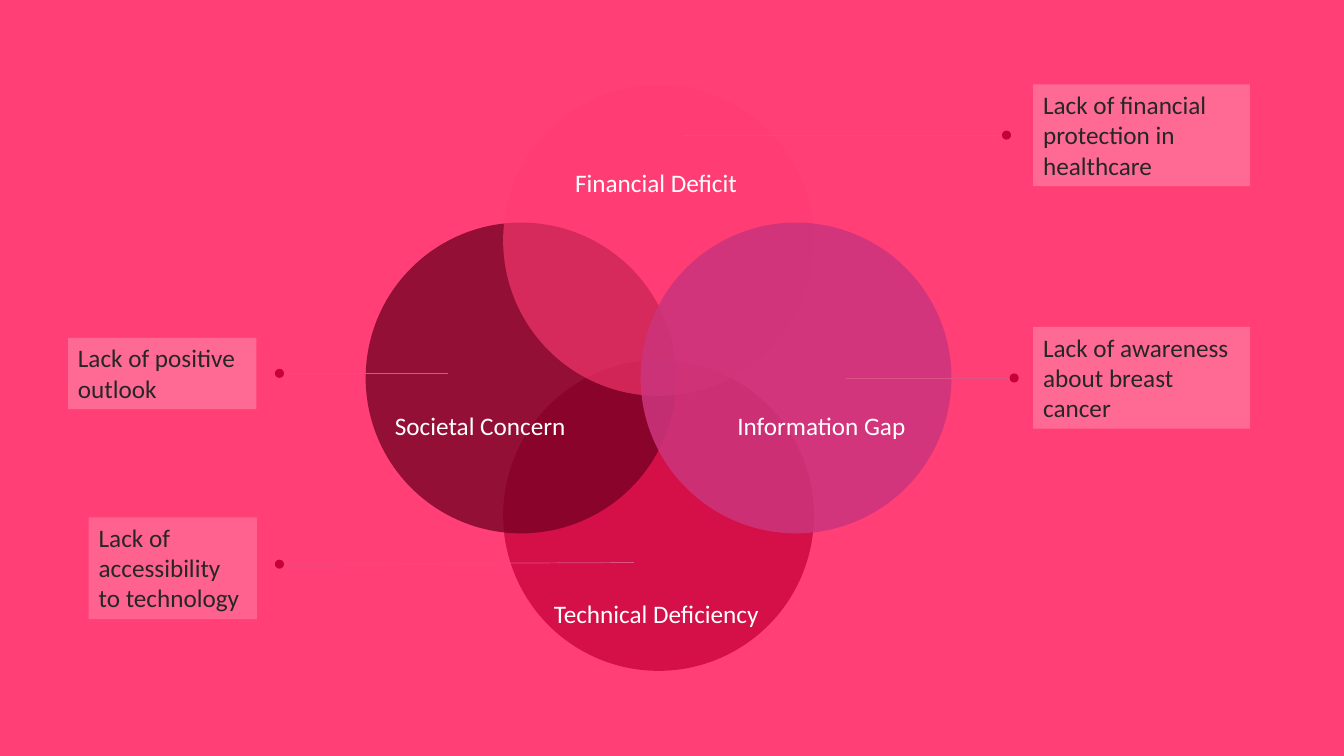
from lxml import etree
from pptx import Presentation
from pptx import util as u
from pptx.dml.color import RGBColor
from pptx.enum import shapes, text
from pptx.oxml import ns

PINK = RGBColor(0xFF, 0x3F, 0x76)
ROSE = RGBColor(0xFF, 0x3B, 0x73)
RED = RGBColor(0xC8, 0x00, 0x39)
WINE = RGBColor(0x70, 0x00, 0x20)
PLUM = RGBColor(0xCC, 0x34, 0x7C)
PALE = RGBColor(0xFF, 0x6A, 0x95)
BLUSH = RGBColor(0xFF, 0x62, 0x8F)
THREAD = RGBColor(0xDF, 0x52, 0x86)
WHITE = RGBColor(0xFF, 0xFF, 0xFF)
INK = RGBColor(0x26, 0x26, 0x26)

deck = Presentation()
deck.slide_width, deck.slide_height = u.Pt(960), u.Pt(540)
slide = deck.slides.add_slide(deck.slide_layouts[6])
slide.background.fill.solid()
slide.background.fill.fore_color.rgb = PINK


def write(words, x, y, w, h, ink=WHITE, fill=None):
    box = slide.shapes.add_textbox(u.Pt(x), u.Pt(y), u.Pt(w), u.Pt(h))
    if fill is not None:
        box.fill.solid()
        box.fill.fore_color.rgb = fill
    frame = box.text_frame
    frame.word_wrap = True
    frame.auto_size = text.MSO_AUTO_SIZE.SHAPE_TO_FIT_TEXT
    frame.text = words
    font = frame.paragraphs[0].runs[0].font
    font.name, font.size, font.color.rgb = "Calibri", u.Pt(18), ink


def disc(x, y, size, fill, alpha=100):
    oval = slide.shapes.add_shape(
        shapes.MSO_SHAPE.OVAL, u.Pt(x - size / 2), u.Pt(y - size / 2),
        u.Pt(size), u.Pt(size))
    oval.shadow.inherit = False
    oval.line.fill.background()
    oval.fill.solid()
    oval.fill.fore_color.rgb = fill
    if alpha < 100:
        tint = oval.fill._xPr.find(".//" + ns.qn("a:srgbClr"))
        etree.SubElement(tint, ns.qn("a:alpha"), val=str(alpha * 1000))


# Four overlapping circles around one centre
MID_X, MID_Y, STEP, SIZE = 470.4, 270, 98.2, 222
for right, down, fill, alpha in [
        (0, 1, RED, 75), (-1, 0, WINE, 75), (0, -1, ROSE, 62), (1, 0, PLUM, 88)]:
    disc(MID_X + right * STEP, MID_Y + down * STEP, SIZE, fill, alpha)

# Leader lines, each with a dot at its outer end
for x, y, tip_x, tip_y in [
        (718.9, 96.5, 488.2, 96.5), (724.4, 270, 604, 270),
        (199.6, 266.7, 319.7, 266.7), (199.6, 403, 452.9, 401.8)]:
    line = slide.shapes.add_connector(
        shapes.MSO_CONNECTOR.STRAIGHT, u.Pt(x), u.Pt(y), u.Pt(tip_x), u.Pt(tip_y))
    line.line.color.rgb, line.line.width = THREAD, u.Pt(0.5)
    etree.SubElement(line._element.spPr, ns.qn("a:effectLst"))
    disc(x, y, 6.5, RED)

# Circle labels
for words, x, y, w in [
        ("Financial Deficit", 403.7, 116, 133.2),
        ("Information Gap", 519.6, 289.4, 139.7),
        ("Societal Concern", 275, 289.4, 140.4),
        ("Technical Deficiency", 388.5, 424, 173.5)]:
    write(words, x, y, w, 29)

# Callouts
for words, x, y, w, h, fill in [
        ("Lack of financial protection in healthcare", 738, 60.3, 154.8, 72.7, PALE),
        ("Lack of awareness about breast cancer", 738, 233.5, 154.8, 72.7, PALE),
        ("Lack of positive outlook", 48.6, 241.3, 134.6, 50.9, PALE),
        ("Lack of accessibility to technology", 63.4, 369.5, 120.2, 72.7, BLUSH)]:
    write(words, x, y, w, h, ink=INK, fill=fill)

deck.save("out.pptx")
